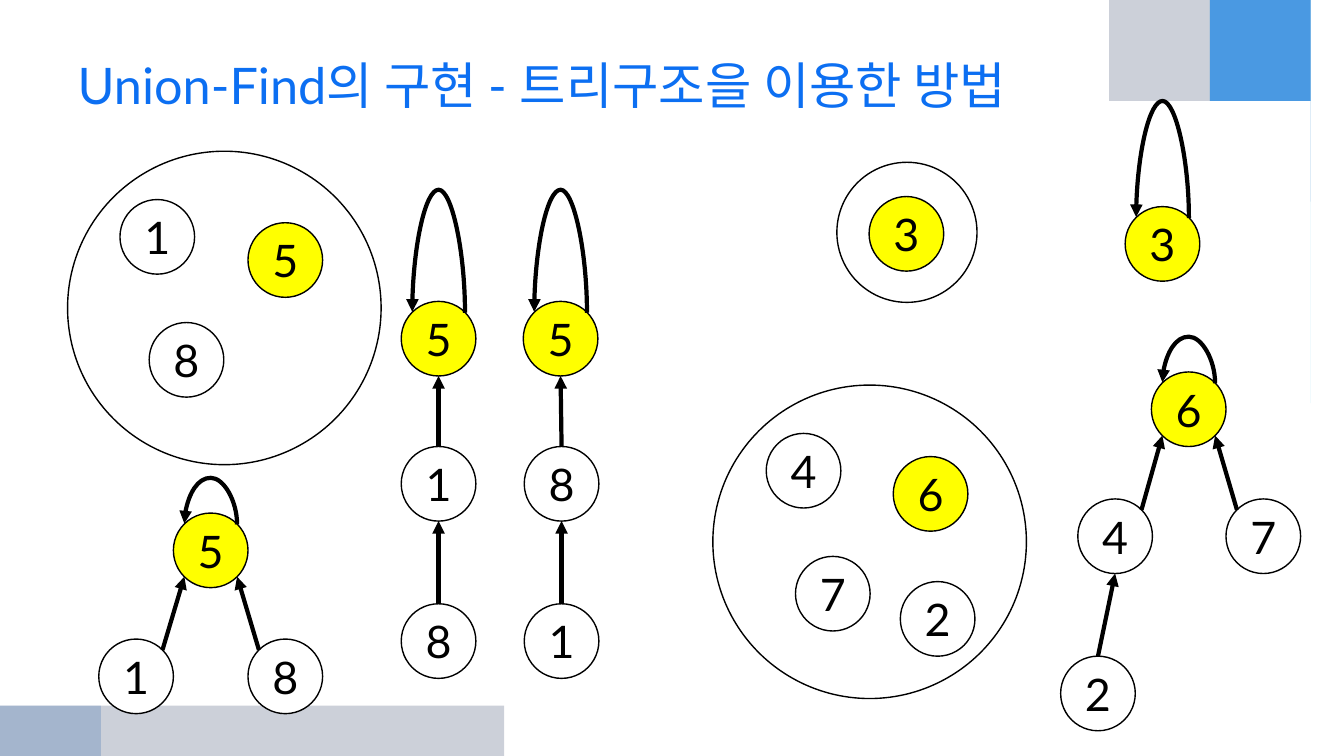
from dataclasses import dataclass
from math import sqrt

from lxml.etree import SubElement
from pptx import Presentation
from pptx.dml.color import RGBColor as RGB
from pptx.enum.shapes import MSO_CONNECTOR as CONN, MSO_SHAPE as SHAPE
from pptx.enum.text import MSO_ANCHOR as ANCHOR, PP_ALIGN as ALIGN
from pptx.oxml.ns import qn
from pptx.util import Inches, Pt


@dataclass(frozen=True)
class Theme:
    font: str = "Lato"
    title: str = "0C6FF2"
    ink: str = "000000"
    paper: str = "FFFFFF"
    root: str = "FFFF00"
    cyan: str = "00B1E9"
    navy: str = "021741"
    blue: str = "247FF4"
    deep: str = "084AA1"
    title_size: int = 36
    node_size: int = 32
    outline: int = 1
    arrow: int = 3


T = Theme()
WIDTH, HEIGHT = 13.33, 7.5
NODE = 0.74
RADIUS = NODE / 2
DIAGONAL = RADIUS / sqrt(2)
LOOP_TILT = 0.01

SWOOSHES = [
    (T.cyan, 45, (WIDTH, 0), [(11.89, 0), (12.53, 0.3), (13.33, 1.78), (13.33, 4.08)]),
    (T.navy, 20, (WIDTH, 0), [(8.89, 0), (10.9, 0.07), (13, 0.9), (13.33, 2.15)]),
    (T.blue, 49, (WIDTH, 0), [(8.89, 0), (10.9, 0.05), (13.25, 0.78), (13.33, 1.55)]),
    (T.navy, 20, (0, HEIGHT), [(0, 6.08), (0.1, 6.75), (2.75, 7.45), (5, 7.5)]),
    (T.deep, 20, (0, HEIGHT), [(0, 4.58), (0, 6.1), (0.82, 7.3), (1.48, 7.5)]),
]

SETS = [
    (0.67, 1.5, 3.11, [("1", 1.19, 1.98), ("5", 2.46, 2.21), ("8", 1.48, 3.2)], "5"),
    (8.3, 1.61, 1.39, [("3", 8.62, 1.95)], "3"),
    (7.07, 3.82, 3.11, [("4", 7.6, 4.3), ("6", 8.86, 4.53), ("7", 7.89, 5.52),
                        ("2", 8.93, 5.77)], "6"),
]

TREES = [
    ([("5", 1.72, 5.09), ("1", 0.98, 6.34), ("8", 2.46, 6.34)],
     [("1", "5", 1), ("8", "5", -1)], 0.47),
    ([("3", 11.16, 2.05)], [], 1.18),
    ([("5", 3.98, 2.99), ("1", 3.98, 4.43), ("8", 3.98, 5.99)],
     [("1", "5", 0), ("8", "1", 0)], 1.24),
    ([("5", 5.19, 2.99), ("8", 5.2, 4.43), ("1", 5.2, 5.99)],
     [("8", "5", 0), ("1", "8", 0)], 1.24),
    ([("6", 11.42, 3.69), ("4", 10.69, 4.95), ("7", 12.16, 4.95), ("2", 10.52, 6.51)],
     [("4", "6", 1), ("7", "6", -1), ("2", "4", 0)], 0.47),
]


def style_run(r, size, color):
    r.font.name = T.font
    r.font.size = Pt(size)
    r.font.color.rgb = RGB.from_string(color)


def bezier(points, t):
    weights = ((1 - t) ** 3, 3 * t * (1 - t) ** 2, 3 * t ** 2 * (1 - t), t ** 3)
    return tuple(sum(w * p[axis] for w, p in zip(weights, points)) for axis in (0, 1))


def add_swoosh(s, color, opacity, corner, curve, steps=40):
    outline = [bezier(curve, i / steps) for i in range(steps + 1)]
    builder = s.shapes.build_freeform(*corner, scale=Inches(1))
    builder.add_line_segments(outline, close=True)
    sp = builder.convert_to_shape()
    sp.shadow.inherit = False
    sp.line.fill.background()
    sp.fill.solid()
    sp.fill.fore_color.rgb = RGB.from_string(color)
    clr = sp.fill._xPr.find(qn("a:solidFill"))[0]
    SubElement(clr, qn("a:alpha")).set("val", str(opacity * 1000))


def add_title(s, text):
    sp = s.shapes.title
    sp.left, sp.top, sp.width, sp.height = map(Inches, (0.67, 0.33, 12, 1.01))
    tf = sp.text_frame
    tf.text = text
    tf.vertical_anchor = ANCHOR.MIDDLE
    p = tf.paragraphs[0]
    p.alignment = ALIGN.LEFT
    style_run(p.runs[0], T.title_size, T.title)


def add_circle(s, x, y, size, fill):
    sp = s.shapes.add_shape(SHAPE.OVAL, Inches(x), Inches(y), Inches(size), Inches(size))
    sp.shadow.inherit = False
    sp.fill.solid()
    sp.fill.fore_color.rgb = RGB.from_string(fill)
    sp.line.color.rgb = RGB.from_string(T.ink)
    sp.line.width = Pt(T.outline)
    return sp


def add_node(s, label, x, y, is_root):
    tf = add_circle(s, x, y, NODE, T.root if is_root else T.paper).text_frame
    tf.text = label
    tf.vertical_anchor = ANCHOR.MIDDLE
    p = tf.paragraphs[0]
    p.alignment = ALIGN.CENTER
    style_run(p.runs[0], T.node_size, T.ink)


def add_arrow(s, kind, start, end):
    cxn = s.shapes.add_connector(kind, *map(Inches, (*start, *end)))
    cxn.line.color.rgb = RGB.from_string(T.ink)
    cxn.line.width = Pt(T.arrow)
    SubElement(cxn.line._get_or_add_ln(), qn("a:tailEnd")).set("type", "triangle")
    SubElement(cxn._element.spPr, qn("a:effectLst"))
    return cxn


def add_edge(s, child, parent, lean):
    dx, dy = (lean * DIAGONAL, DIAGONAL) if lean else (0, RADIUS)
    start = child[0] + RADIUS + dx, child[1] + RADIUS - dy
    end = parent[0] + RADIUS - dx, parent[1] + RADIUS + dy
    add_arrow(s, CONN.STRAIGHT, start, end)


def add_loop(s, root, rise):
    cx, cy = root[0] + RADIUS, root[1] + RADIUS - DIAGONAL
    half = LOOP_TILT / 2
    cxn = add_arrow(s, CONN.CURVE, (cx - half, cy + DIAGONAL), (cx + half, cy - DIAGONAL))
    spPr = cxn._element.spPr
    spPr.find(qn("a:xfrm")).set("rot", str(270 * 60000))
    guide = SubElement(spPr.find(qn("a:prstGeom")).find(qn("a:avLst")), qn("a:gd"))
    guide.set("name", "adj1")
    guide.set("fmla", f"val {round(rise / LOOP_TILT * 100000)}")


def add_set(s, x, y, size, members, root):
    add_circle(s, x, y, size, T.paper)
    for label, left, top in members:
        add_node(s, label, left, top, label == root)


def add_tree(s, nodes, edges, rise):
    places = {label: (x, y) for label, x, y in nodes}
    root = nodes[0][0]
    for label, x, y in nodes:
        add_node(s, label, x, y, label == root)
    for child, parent, lean in edges:
        add_edge(s, places[child], places[parent], lean)
    add_loop(s, places[root], rise)


def main():
    prs = Presentation()
    prs.slide_width, prs.slide_height = Inches(WIDTH), Inches(HEIGHT)
    s = prs.slides.add_slide(prs.slide_layouts[5])
    for swoosh in SWOOSHES:
        add_swoosh(s, *swoosh)
    add_title(s, "Union-Find의 구현 - 트리구조을 이용한 방법")
    for group in SETS:
        add_set(s, *group)
    for tree in TREES:
        add_tree(s, *tree)
    prs.save("out.pptx")


if __name__ == "__main__":
    main()
